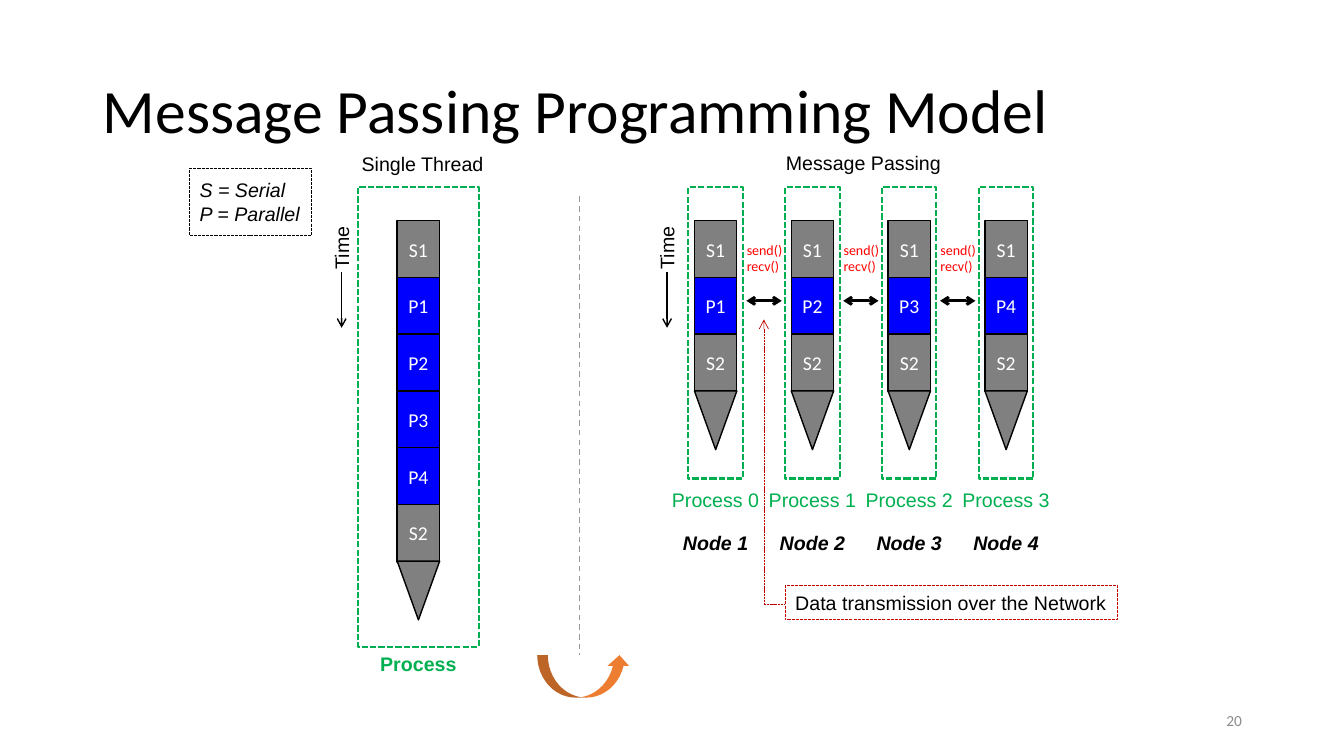
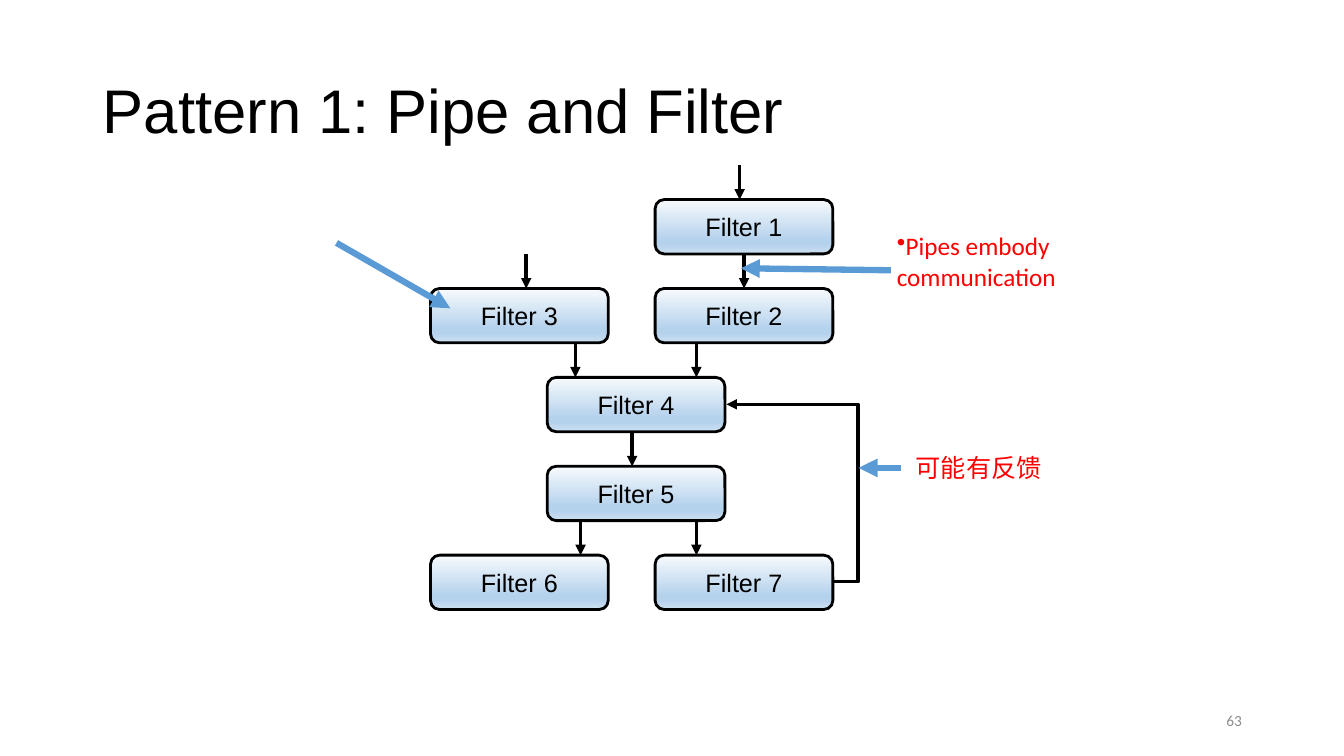
from lxml.etree import SubElement
from pptx import Presentation
from pptx.dml.color import RGBColor
from pptx.enum.dml import MSO_LINE
from pptx.enum.shapes import MSO_CONNECTOR as CONN, MSO_SHAPE as SHAPE
from pptx.enum.text import MSO_ANCHOR as ANCHOR, MSO_AUTO_SIZE as AUTO, PP_ALIGN as ALIGN
from pptx.oxml.ns import qn
from pptx.util import Cm, Pt

COLORS = {
    "black": "000000", "white": "FFFFFF", "serial": "808080", "parallel": "0000FF",
    "process": "00B050", "network": "C00000", "note": "FF0000", "divider": "999999",
    "turn": "ED7D31", "pointer": "5B9BD5", "number": "8C8C8C",
}
DASH, SYS_DASH = MSO_LINE.DASH, MSO_LINE.SQUARE_DOT
TITLE_BOX = (2.34, 1.01, 29.21, 3.68)
NUMBER_BOX = (23.93, 17.65, 7.62, 1.01)

# Message passing slide, lengths in cm
SINGLE = ["S1", "P1", "P2", "P3", "P4", "S2"]
NODES = [
    (["S1", "P1", "S2"], "Process 0", "Node 1"),
    (["S1", "P2", "S2"], "Process 1", "Node 2"),
    (["S1", "P3", "S2"], "Process 2", "Node 3"),
    (["S1", "P4", "S2"], "Process 3", "Node 4"),
]
SINGLE_X, NODE_X, NODE_PITCH = 10.01, 17.5, 2.44
BLOCK_W, BLOCK_H, BLOCK_TOP, BLOCK_PITCH = 1.07, 1.45, 5.56, 1.43
TIP_H, FRAME_TOP = 1.48, 4.72
HEADINGS = [("Single Thread", 10.65, 3.84), ("Message Passing", 21.76, 3.81)]
TIME_X = [8.61, 16.81]

# Pipe and filter slide, lengths in cm
FILTERS = [  # name, left, row
    ("Filter 1", 16.51, 0), ("Filter 2", 16.51, 1), ("Filter 3", 10.85, 1),
    ("Filter 4", 13.79, 2), ("Filter 5", 13.79, 3),
    ("Filter 6", 10.85, 4), ("Filter 7", 16.51, 4),
]
FILTER_W, FILTER_H, FILTER_TOP, ROW_PITCH = 4.48, 1.37, 5.03, 2.24
FILTER_STOPS = [(0, "F7FAFD"), (74, "B5D2EC"), (83, "B5D2EC"), (100, "CEE1F2")]
PIPES = [  # x, row entered from above
    (18.64, 0), (18.75, 1), (13.26, 1), (14.5, 2), (17.55, 2),
    (15.93, 3), (14.63, 4), (17.55, 4),
]
POINTERS = [
    (8.48, 6.12, 11.35, 7.77), (22.71, 11.79, 21.64, 11.79), (22.45, 6.81, 18.67, 6.76),
]
NOTES = [
    ("Pipes embody communication", (22.35, 5.69, 6.6, 1.8), "•"),
    ("可能有反馈", (22.83, 11.28, 6.6, 1.02), None),
]


def rgb(name):
    return RGBColor.from_string(COLORS[name])


def cm(*lengths):
    return [Cm(n) for n in lengths]


def write(tf, text, size, font="Arial", color="black", bold=False, italic=False,
          align=ALIGN.LEFT, anchor=ANCHOR.TOP, inset=None, wrap=False, bullet=None):
    """Fill a text frame and format every paragraph alike; inset is (x, y) in cm."""
    tf.text = text
    tf.word_wrap = wrap
    tf.auto_size = AUTO.NONE
    tf.vertical_anchor = anchor
    if inset is not None:
        tf.margin_left = tf.margin_right = Cm(inset[0])
        tf.margin_top = tf.margin_bottom = Cm(inset[1])
    for p in tf.paragraphs:
        p.alignment = align
        if bullet:
            SubElement(p._p.get_or_add_pPr(), qn("a:buChar"), char=bullet)
        for r in p.runs:
            f = r.font
            f.size, f.name, f.bold, f.italic = Pt(size), font, bold, italic
            f.color.rgb = rgb(color)


def outline(line, color, width, dash=None):
    line.color.rgb = rgb(color)
    line.width = Pt(width)
    if dash is not None:
        line.dash_style = dash


def text_box(s, box, text, size=14, **style):
    sp = s.shapes.add_textbox(*cm(*box))
    write(sp.text_frame, text, size, **style)
    return sp


def label(s, center, top, text, width=2.2, **style):
    """Put one line of text, without margins, around a centre."""
    return text_box(s, (center - width / 2, top, width, 0.61), text,
                    align=ALIGN.CENTER, inset=(0, 0), **style)


def shape(s, kind, box, fill=None, line=None):
    sp = s.shapes.add_shape(kind, *cm(*box))
    sp.shadow.inherit = False
    if fill:
        sp.fill.solid()
        sp.fill.fore_color.rgb = rgb(fill)
    else:
        sp.fill.background()
    if line:
        outline(sp.line, *line)
    else:
        sp.line.fill.background()
    return sp


def connect(s, points, color, width, dash=None, head=None, tail=None, kind=CONN.STRAIGHT):
    c = s.shapes.add_connector(kind, *cm(*points))
    outline(c.line, color, width, dash)
    ln = c.line._ln
    for tag, arrow in (("a:headEnd", head), ("a:tailEnd", tail)):
        if arrow:
            SubElement(ln, qn(tag), type=arrow)
    SubElement(c._element.spPr, qn("a:effectLst"))
    return c


def new_slide(prs, title, number, font):
    s = prs.slides.add_slide(prs.slide_layouts[5])
    sp = s.shapes.title
    sp.left, sp.top, sp.width, sp.height = cm(*TITLE_BOX)
    write(sp.text_frame, title, 44, font, anchor=ANCHOR.MIDDLE, wrap=True)
    sp.text_frame.paragraphs[0].line_spacing = 0.9
    text_box(s, NUMBER_BOX, number, 11, font="Calibri", color="number",
             align=ALIGN.RIGHT, anchor=ANCHOR.MIDDLE, wrap=True)
    return s


def thread(s, x, tasks, margin, frame_h):
    """Stack the tasks, end them in a tip and frame them as one process."""
    for i, task in enumerate(tasks):
        fill = "serial" if task.startswith("S") else "parallel"
        sp = shape(s, SHAPE.RECTANGLE, (x, BLOCK_TOP + i * BLOCK_PITCH, BLOCK_W, BLOCK_H),
                   fill, ("black", 1))
        write(sp.text_frame, task, 14, "Calibri", "white", align=ALIGN.CENTER,
              anchor=ANCHOR.MIDDLE, inset=(0, 0.13), wrap=True)
    tip_top = BLOCK_TOP + len(tasks) * BLOCK_PITCH
    tip = shape(s, SHAPE.ISOSCELES_TRIANGLE, (x, tip_top, BLOCK_W, TIP_H),
                "serial", ("black", 1))
    tip.rotation = 180
    shape(s, SHAPE.RECTANGLE, (x - margin, FRAME_TOP, BLOCK_W + 2 * margin, frame_h),
          line=("process", 1.5, SYS_DASH))


def message_passing(prs):
    s = new_slide(prs, "Message Passing Programming Model", "20", "Calibri")
    key = text_box(s, (4.78, 4.24, 3.07, 1.7), "S = Serial\nP = Parallel",
                   italic=True, inset=(0.25, 0.25))
    outline(key.line, "black", 0.75, SYS_DASH)
    for text, center, top in HEADINGS:
        label(s, center, top, text, 4)
    for x in TIME_X:
        label(s, x, 5.94, "Time", 1.09).rotation = 270
        connect(s, (x, 6.86, x, 8.26), "black", 1, tail="arrow")

    thread(s, SINGLE_X, SINGLE, 0.99, 11.58)
    label(s, SINGLE_X + BLOCK_W / 2, 16.43, "Process", color="process", bold=True)
    connect(s, (14.61, 4.95, 14.61, 16.51), "divider", 1, DASH)
    shape(s, SHAPE.CURVED_UP_ARROW, (13.54, 16.51, 2.34, 1.07), "turn")

    for i, (tasks, process, node) in enumerate(NODES):
        x = NODE_X + i * NODE_PITCH
        thread(s, x, tasks, 0.15, 7.34)
        label(s, x + BLOCK_W / 2, 12.29, process, color="process")
        label(s, x + BLOCK_W / 2, 13.37, node, bold=True, italic=True)
        if i < len(NODES) - 1:
            connect(s, (x + 1.31, 7.58, x + 2.2, 7.58), "black", 2, head="arrow", tail="arrow")
            text_box(s, (x + 1.07, 5.95, 1.6, 1.12), "send()\nrecv()", 10,
                     font="Calibri", color="note")

    connect(s, (19.25, 15.24, 19.25, 8.05), "network", 0.5, SYS_DASH, tail="arrow")
    connect(s, (19.25, 15.24, 19.79, 15.24), "network", 0.5, SYS_DASH)
    network = text_box(s, (19.79, 14.76, 8.38, 0.86), "Data transmission over the Network")
    outline(network.line, "network", 0.75, SYS_DASH)


def row_top(row):
    return FILTER_TOP + row * ROW_PITCH


def shade(fill):
    """Give a fill the four-stop gradient of the filters, from top to bottom."""
    fill.gradient()
    fill.gradient_angle = 270
    stops = fill._xPr.find(".//" + qn("a:gsLst"))
    stops.clear()
    for percent, color in FILTER_STOPS:
        gs = SubElement(stops, qn("a:gs"), pos=str(percent * 1000))
        SubElement(gs, qn("a:srgbClr"), val=color)


def pipe_and_filter(prs):
    s = new_slide(prs, "Pattern 1: Pipe and Filter", "63", "Arial")
    for name, left, row in FILTERS:
        sp = shape(s, SHAPE.ROUNDED_RECTANGLE, (left, row_top(row), FILTER_W, FILTER_H),
                   line=("black", 2))
        shade(sp.fill)
        write(sp.text_frame, name, 18, align=ALIGN.CENTER, anchor=ANCHOR.MIDDLE)
    for x, row in PIPES:
        top = row_top(row)
        connect(s, (x, top - ROW_PITCH + FILTER_H, x, top), "black", 2.5, tail="triangle")

    feedback = connect(s, (21.03, 14.66, 18.31, 10.19), "black", 2.5,
                       tail="triangle", kind=CONN.ELBOW)
    bend = feedback._element.spPr.find(qn("a:prstGeom")).find(qn("a:avLst"))
    SubElement(bend, qn("a:gd"), name="adj1", fmla="val -21900")

    for points in POINTERS:
        connect(s, points, "pointer", 4.5, tail="triangle")
    for text, box, bullet in NOTES:
        text_box(s, box, text, 18, font="Calibri", color="note", wrap=True, bullet=bullet)


def main():
    prs = Presentation()
    prs.slide_width, prs.slide_height = cm(33.87, 19.05)
    message_passing(prs)
    pipe_and_filter(prs)
    prs.save("out.pptx")


if __name__ == "__main__":
    main()
